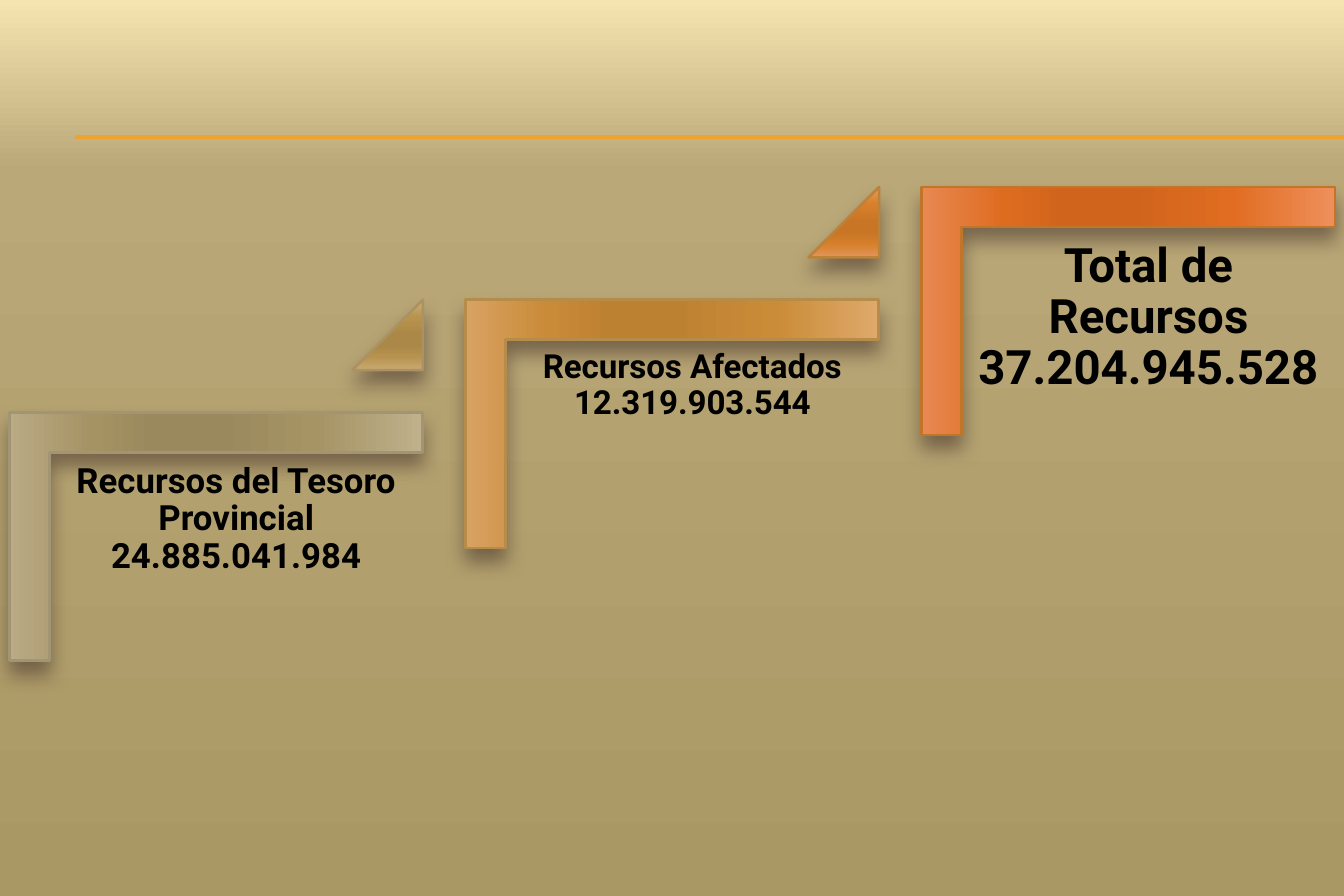
from pptx import Presentation
from pptx.dml.color import RGBColor
from pptx.enum.shapes import MSO_CONNECTOR, MSO_SHAPE
from pptx.enum.text import PP_ALIGN
from pptx.oxml.ns import qn
from pptx.util import Pt
from lxml.etree import SubElement

BLACK = RGBColor(0x00, 0x00, 0x00)
RULE = RGBColor(0xF0, 0xA2, 0x2E)
SHADOW = RGBColor(0x4E, 0x3B, 0x30)
EDGES = [RGBColor(0xA1, 0x95, 0x74), RGBColor(0xB5, 0x8C, 0x4A), RGBColor(0xC1, 0x75, 0x29)]
ARROW_EDGES = [RGBColor(0xAB, 0x92, 0x60), RGBColor(0xBC, 0x82, 0x39)]


def colours(text):
    return [RGBColor.from_string(c) for c in text.split()]


BACKGROUND = colours("F6E4B0 BAA878 A99764")
CORNER_FILLS = [colours("C0B18C A69465 9A895C 9A895C A59364 BAAA85"),
                colours("DEA96B CB8C38 BD8132 BD8132 CA8B38 D8A263"),
                colours("EE8F5B E06D21 D0641C D0641C DE6C20 E88852")]
ARROW_FILLS = [colours("CEAF7B B8934E AB8847 AB8847 B7924E C9A973"),
               colours("E79D62 D77F2A C87525 C87525 D67E2A E19659")]
GLOSS = (0, 25, 50, 65, 80, 100)

# Label, amount, text size, inset
STEPS = [("Recursos del Tesoro Provincial", "24.885.041.984", 11, 3.3),
         ("Recursos Afectados", "12.319.903.544", 10.5, 3.15),
         ("Total de Recursos", "37.204.945.528", 15, 4.5)]
STEP_X, STEP_Y = 144.4, -35.7


class StepSlide:
    font = "Roboto"
    edge_width = Pt(0.79)

    def __init__(self, prs):
        self.slide = prs.slides.add_slide(prs.slide_layouts[6])

    def gradient(self, fill, element, stops, shades):
        """Fill from top to bottom; element is the XML that holds the fill."""
        fill.gradient()
        fill.gradient_angle = 270
        gs_list = next(element.iter(qn("a:gsLst")))
        for gs in list(gs_list):
            gs_list.remove(gs)
        for stop, shade in zip(stops, shades):
            gs = SubElement(gs_list, qn("a:gs"), pos=str(stop * 1000))
            SubElement(gs, qn("a:srgbClr"), val=str(shade))

    def background(self, stops, shades):
        self.gradient(self.slide.background.fill, self.slide.element, stops, shades)

    def rule(self, x1, x2, y):
        line = self.slide.shapes.add_connector(
            MSO_CONNECTOR.STRAIGHT, Pt(x1), Pt(y), Pt(x2), Pt(y))
        line.line.color.rgb = RULE
        line.line.width = Pt(0.75)
        SubElement(line.element.spPr, qn("a:effectLst"))

    def glossy(self, kind, x, y, w, h, adjustments, shades, edge, rotation=0):
        sp = self.slide.shapes.add_shape(kind, Pt(x), Pt(y), Pt(w), Pt(h))
        sp.rotation = rotation
        for i, value in enumerate(adjustments):
            sp.adjustments[i] = value
        self.gradient(sp.fill, sp.element, GLOSS, shades)
        sp.line.color.rgb = edge
        sp.line.width = self.edge_width
        self.drop_shadow(sp)

    def drop_shadow(self, sp):
        sp.shadow.inherit = False
        effects = sp.element.spPr.find(qn("a:effectLst"))
        shadow = SubElement(effects, qn("a:outerShdw"), blurRad=str(Pt(6)),
                            dist=str(Pt(4)), dir="5400000", rotWithShape="0")
        colour = SubElement(shadow, qn("a:srgbClr"), val=str(SHADOW))
        SubElement(colour, qn("a:alpha"), val="60000")

    def text(self, x, y, w, h, words, size, inset):
        tf = self.slide.shapes.add_textbox(Pt(x), Pt(y), Pt(w), Pt(h)).text_frame
        tf.word_wrap = True
        tf.margin_left = tf.margin_right = tf.margin_top = tf.margin_bottom = Pt(inset)
        p = tf.paragraphs[0]
        p.alignment = PP_ALIGN.CENTER
        p.line_spacing = 0.9
        r = p.add_run()
        r.text = words
        r.font.name = self.font
        r.font.size = Pt(size)
        r.font.bold = True
        r.font.color.rgb = BLACK


def main():
    prs = Presentation()
    prs.slide_width, prs.slide_height = Pt(425.5), Pt(283.7)
    s = StepSlide(prs)
    s.background((0, 19, 100), BACKGROUND)
    for y in (43.2, 43.8):
        s.rule(23.8, 425.5, y)
    for i, (label, amount, size, inset) in enumerate(STEPS):
        dx, dy = i * STEP_X, i * STEP_Y
        s.glossy(MSO_SHAPE.CORNER, 29.1 + dx, 104.5 + dy, 78.6, 130.8,
                 (0.161, 0.161), CORNER_FILLS[i], EDGES[i], rotation=90)
        s.text(15.8 + dx, 143.4 + dy, 118.1, 103.2, f"{label} {amount}", size, inset)
        if i < len(ARROW_FILLS):
            s.glossy(MSO_SHAPE.ISOSCELES_TRIANGLE, 111.6 + dx, 94.9 + dy, 22.3, 22.3,
                     (1,), ARROW_FILLS[i], ARROW_EDGES[i])
    prs.save("out.pptx")


if __name__ == "__main__":
    main()
